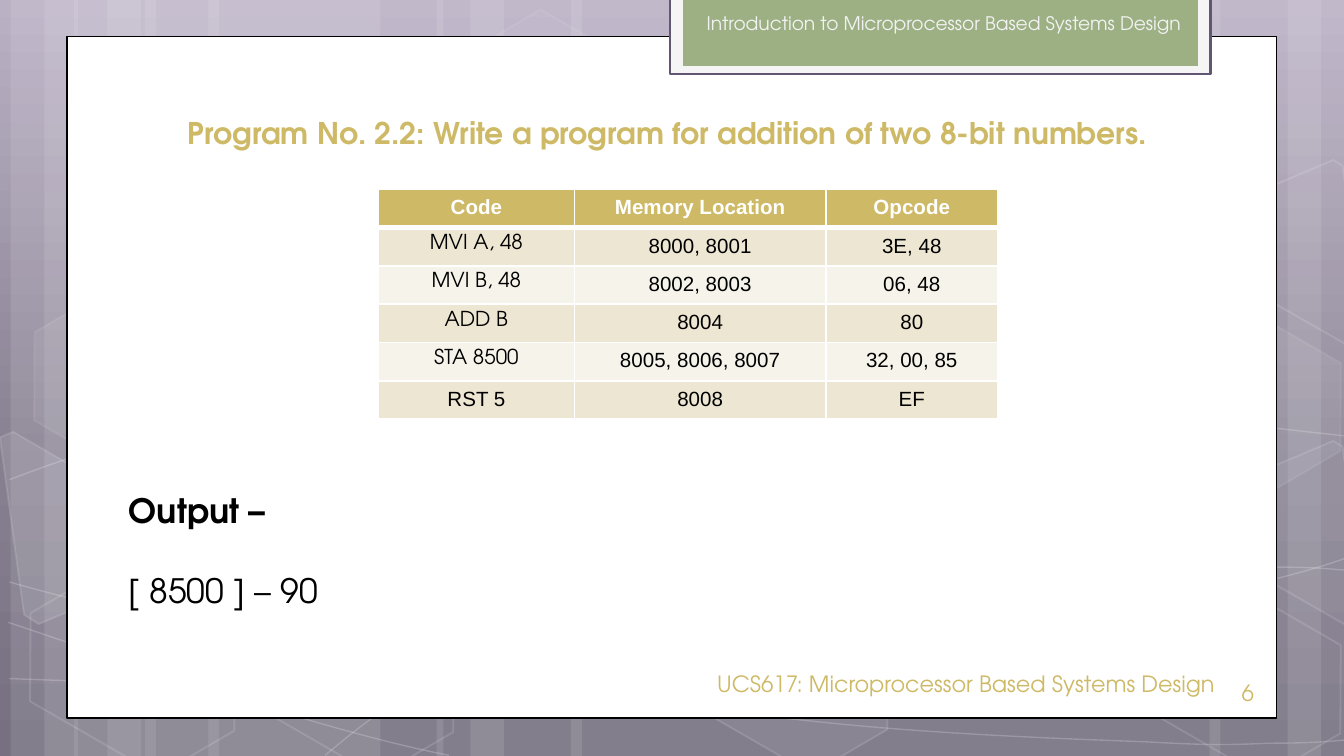
"""Build the slide on addition of two 8-bit numbers."""
import math
from dataclasses import dataclass
from typing import Optional
import pptx
import pptx.dml.color
import pptx.enum.shapes
import pptx.enum.text
import pptx.oxml
import pptx.util
from lxml import etree
from pptx.oxml.ns import nsdecls, qn

COLS, ROWS = 100, 56.25
CELL = pptx.util.Inches(10) // COLS
SANS, ARIAL = "TeX Gyre Adventor", "Arial"
COLORS = {
    "white": "FFFFFF", "black": "000000", "gold": "CEB966", "sand": "EDE6D2",
    "cream": "F6F3EA", "smoke": "F5F5F5", "pale": "F2F2F2", "plum": "635672",
    "sage": "9CB084", "top": "BAB1C5", "middle": "867F90", "bottom": "767080",
}
MSO = pptx.enum.shapes.MSO_SHAPE
ALIGN = pptx.enum.text.PP_ALIGN
ANCHOR = pptx.enum.text.MSO_ANCHOR
Point = tuple[float, float]

@dataclass
class Style:
    fill: Optional[str] = None
    fill_alpha: int = 100
    line: Optional[str] = None
    width: float = 1
    line_alpha: int = 100
    rotation: float = 0

@dataclass
class Box:
    at: tuple[float, float, float, float]
    style: Style
    kind: MSO = MSO.RECTANGLE

@dataclass
class Outline:
    center: Point
    points: list[Point]
    style: Style

@dataclass
class Label:
    at: tuple[float, float, float, float]
    lines: list[str]
    size: float
    color: str
    bold: bool = False
    align: ALIGN = ALIGN.LEFT
    anchor: ANCHOR = ANCHOR.TOP

def glass(fill_alpha: int, line_alpha: int) -> Style:
    return Style("white" if fill_alpha else None, fill_alpha, "white", 1, line_alpha, 30)

def panel(x: float, w: float, rotation: float = 0) -> Box:
    return Box((x, 0, w, ROWS), Style("white", 10, rotation=rotation))

def hexagon(x: float, y: float, fill_alpha: int, line_alpha: int) -> Box:
    return Box((x, y, 17.5, 11.4), glass(fill_alpha, line_alpha), MSO.HEXAGON)

PANELS = [panel(x + dx, w) for dx in (0, 4.7) for x, w in ((10.8, 17.5), (0.8, 5), (3.3, 8.3))]
PANELS += [panel(x, w, 180) for x, w in ((73.3, 17.5), (95.8, 5), (90, 8.3))]
PANELS += [panel(x, w) for x, w in ((42.5, 30.8), (32.5, 5), (35, 8.3))]
CURVES = [
    [(0.7, 50.5), (6.1, 50.7), (11.5, 50.9), (19, 50.8), (26.5, 50.7), (35.8, 50.6), (45.8, 49.9),
     (55.8, 49.1), (70, 47.7), (79.2, 46.3), (88.3, 44.8), (97.7, 42.6), (100.7, 41.3)],
    [(0.7, 35.7), (3.6, 34.6), (6.5, 33.5), (12.1, 32.3), (17.8, 31.2), (25.9, 29.6), (34.7, 29),
     (43.6, 28.5), (54.4, 28.4), (65.4, 29), (76.4, 29.6), (94.7, 31.9), (100.7, 32.5)],
    [(0.6, 46.3), (12.7, 50.4), (24.7, 54.5), (33.4, 56.2)],
    [(0.7, 43.3), (3.8, 44.2), (7, 45), (12.8, 46.2), (18.6, 47.4), (27.3, 49.2), (35.7, 50.5),
     (44, 51.7), (54.5, 53.1), (62.8, 53.9), (71.1, 54.7), (80, 55), (85.3, 55.2),
     (90.5, 55.5), (91.9, 55.4), (94.5, 55.3), (97.1, 55.3), (98.9, 55.2), (100.7, 55)],
    [(24.2, 56.2), (26, 54.7), (27.8, 53.2), (30.2, 51.8), (32.6, 50.4), (36, 48.9), (38.8, 47.9),
     (41.6, 46.9), (43.3, 46.4), (47, 45.7), (50.6, 44.9), (57.3, 43.8), (60.8, 43.3),
     (64.4, 42.8), (64.9, 42.9), (68, 42.7), (71.1, 42.5), (76, 42.3), (79.4, 42.2),
     (82.9, 42.1), (88.6, 42.2), (88.6, 42.2), (91, 42.2), (93, 42.2), (95.3, 42.2),
     (97.1, 42.2), (98.8, 42.3), (99.7, 42.4), (100.6, 42.4), (100.3, 42.4), (100.6, 42.5)],
]
EDGE = [(92.6, 35.6), (99.2, 32.8), (99.9, 33.2), (101.8, 46.8), (101.2, 47.1), (93.5, 42.7)]
SHARD = [(0, 32.5), (1, 32.1), (8.6, 36.5), (9.5, 43.6), (2.9, 46.4), (1.8, 45.7)]
CRYSTALS = [
    hexagon(33.4, 2.7, 4, 8), hexagon(49.7, 44.2, 6, 12), Outline((3.6, 40.2), SHARD, glass(10, 12)),
    hexagon(1.1, 44.3, 0, 12), hexagon(1.4, 23.4, 7, 8), hexagon(17.4, 44.4, 0, 12),
    hexagon(83.4, 44.5, 0, 12), hexagon(83.4, 23.5, 7, 8), Outline((98.5, 39), EDGE, glass(4, 12)),
    Outline((98.5, 18.1), [(x, y - 20.9) for x, y in EDGE], glass(0, 12)),
]
FRAMES = [
    Box((5, 2.72, 90, 50.7), Style("white", line="black", width=0.75)),
    Box((49.87, -0.2, 40.2, 5.72), Style("smoke", line="plum", width=1.25)),
    Box((50.83, -0.2, 38.3, 5.12), Style("sage")),
]
LABELS = [
    Label((7.03, 2.3, 85.9, 9.4), ["Program No. 2.2: Write a program for addition of two 8-bit numbers. "],
          16, "gold", True, ALIGN.CENTER, ANCHOR.BOTTOM),
    Label((91.4, 50, 14.6, 3), ["6"], 12, "gold", anchor=ANCHOR.MIDDLE),
    Label((51.6, 0.4, 50, 2.7), ["Introduction to Microprocessor Based Systems Design"], 10, "pale"),
    Label((50.8, 49.35, 40.6, 3), ["UCS617: Microprocessor Based Systems Design"], 12, "gold",
          align=ALIGN.RIGHT, anchor=ANCHOR.MIDDLE),
    Label((8.6, 35.95, 71.1, 10.1), ["Output –", "[ 8500 ] – 90"], 18, "black", True),
]
LISTING = [
    ("Code", "Memory Location", "Opcode"), ("MVI A, 48", "8000, 8001", "3E, 48"),
    ("MVI B, 48", "8002, 8003", "06, 48"), ("ADD B", "8004", "80"),
    ("STA 8500", "8005, 8006, 8007", "32, 00, 85"), ("RST 5", "8008", "EF"),
]

def rgb(name: str) -> pptx.dml.color.RGBColor:
    return pptx.dml.color.RGBColor.from_string(COLORS[name])

def grid(*cells: float) -> list[int]:
    return [round(c * CELL) for c in cells]

def paint(fill, color: Optional[str], alpha: int, holder) -> None:
    if color is None:
        fill.background()
        return
    fill.solid()
    fill.fore_color.rgb = rgb(color)
    if alpha < 100:
        etree.SubElement(holder.find(qn("a:solidFill"))[0], qn("a:alpha"), val=str(alpha * 1000))

def apply_style(sp, style: Style) -> None:
    sp.shadow.inherit = False
    sp.rotation = style.rotation
    paint(sp.fill, style.fill, style.fill_alpha, sp.element.spPr)
    sp.line.width = pptx.util.Pt(style.width)
    paint(sp.line.fill, style.line, style.line_alpha, sp.element.spPr.find(qn("a:ln")))

def draw_box(s, box: Box) -> None:
    sp = s.shapes.add_shape(box.kind, *grid(*box.at))
    if box.kind == MSO.HEXAGON:
        sp.adjustments[0] = 0.285
    apply_style(sp, box.style)

def draw_path(s, points: list[Point], style: Style, close: bool):
    start, *rest = [grid(*pt) for pt in points]
    fb = s.shapes.build_freeform(*start)
    fb.add_line_segments(rest, close=close)
    sp = fb.convert_to_shape()
    apply_style(sp, style)
    return sp

def draw_outline(s, outline: Outline) -> None:
    (cx, cy), a = outline.center, math.radians(outline.style.rotation)
    turned = [(cx + (x - cx) * math.cos(a) + (y - cy) * math.sin(a),
               cy - (x - cx) * math.sin(a) + (y - cy) * math.cos(a)) for x, y in outline.points]
    draw_path(s, turned, outline.style, True)

def draw_curve(s, knots: list[Point]) -> None:
    sp = draw_path(s, knots, Style(line="white", width=0.75, line_alpha=20), False)
    lines = list(sp.element.iter(qn("a:lnTo")))
    for first, second, third in zip(lines[::3], lines[1::3], lines[2::3]):
        first.tag = qn("a:cubicBezTo")
        for line in (second, third):
            first.append(line[0])
            line.getparent().remove(line)

def format_runs(p, align: ALIGN, font: str, size: float, color: str, bold: bool) -> None:
    p.alignment = align
    for r in p.runs:
        r.font.name, r.font.size, r.font.bold = font, pptx.util.Pt(size), bold
        r.font.color.rgb = rgb(color)

def draw_label(s, label: Label) -> None:
    tf = s.shapes.add_textbox(*grid(*label.at)).text_frame
    tf.word_wrap, tf.vertical_anchor = True, label.anchor
    tf.text = "\n".join(label.lines)
    for i, p in enumerate(tf.paragraphs):
        p.space_before = pptx.util.Pt(21.4 * i)
        format_runs(p, label.align, SANS, label.size, label.color, label.bold and i == 0)

def draw_table(s, x: float, y: float, widths: list[float], row_height: float) -> None:
    table = s.shapes.add_table(len(LISTING), len(widths), *grid(
        x, y, sum(widths), row_height * len(LISTING))).table
    for col, width in zip(table.columns, grid(*widths)):
        col.width = width
    for i, j in ((i, j) for i in range(len(LISTING)) for j in range(len(widths))):
        cell = table.cell(i, j)
        cell.text_frame.text = LISTING[i][j]
        font = SANS if j == 0 and 0 < i < len(LISTING) - 1 else ARIAL
        format_runs(cell.text_frame.paragraphs[0], ALIGN.CENTER, font, 11, "black" if i else "white", i == 0)
        paint(cell.fill, ("sand" if i % 2 else "cream") if i else "gold", 100, None)
        for n, side in enumerate("LRTB"):
            width = pptx.util.Pt(3 if (i, side) in ((0, "B"), (1, "T")) else 1)
            cell._tc.get_or_add_tcPr().insert(n, pptx.oxml.parse_xml(
                f'<a:ln{side} {nsdecls("a")} w="{width}"><a:solidFill>'
                f'<a:srgbClr val="{COLORS["white"]}"/></a:solidFill></a:ln{side}>'))

def draw_background(s) -> None:
    s.background.fill.gradient()
    s.background.fill.gradient_angle = 270
    stops = s.element.find(".//" + qn("a:gsLst"))
    stops[:] = []
    for pos, name in ((0, "top"), (62, "middle"), (100, "bottom")):
        gs = etree.SubElement(stops, qn("a:gs"), pos=str(pos * 1000))
        etree.SubElement(gs, qn("a:srgbClr"), val=COLORS[name])

def main() -> None:
    prs = pptx.Presentation()
    prs.slide_width, prs.slide_height = grid(COLS, ROWS)
    s = prs.slides.add_slide(prs.slide_layouts[6])
    draw_background(s)
    for items, draw in ((PANELS, draw_box), (CURVES, draw_curve)):
        for item in items:
            draw(s, item)
    for item in CRYSTALS + FRAMES:
        (draw_box if isinstance(item, Box) else draw_outline)(s, item)
    for label in LABELS:
        draw_label(s, label)
    draw_table(s, 28.15, 14.1, [14.6, 18.7, 12.8], 2.85)
    prs.save("out.pptx")

if __name__ == "__main__":
    main()
